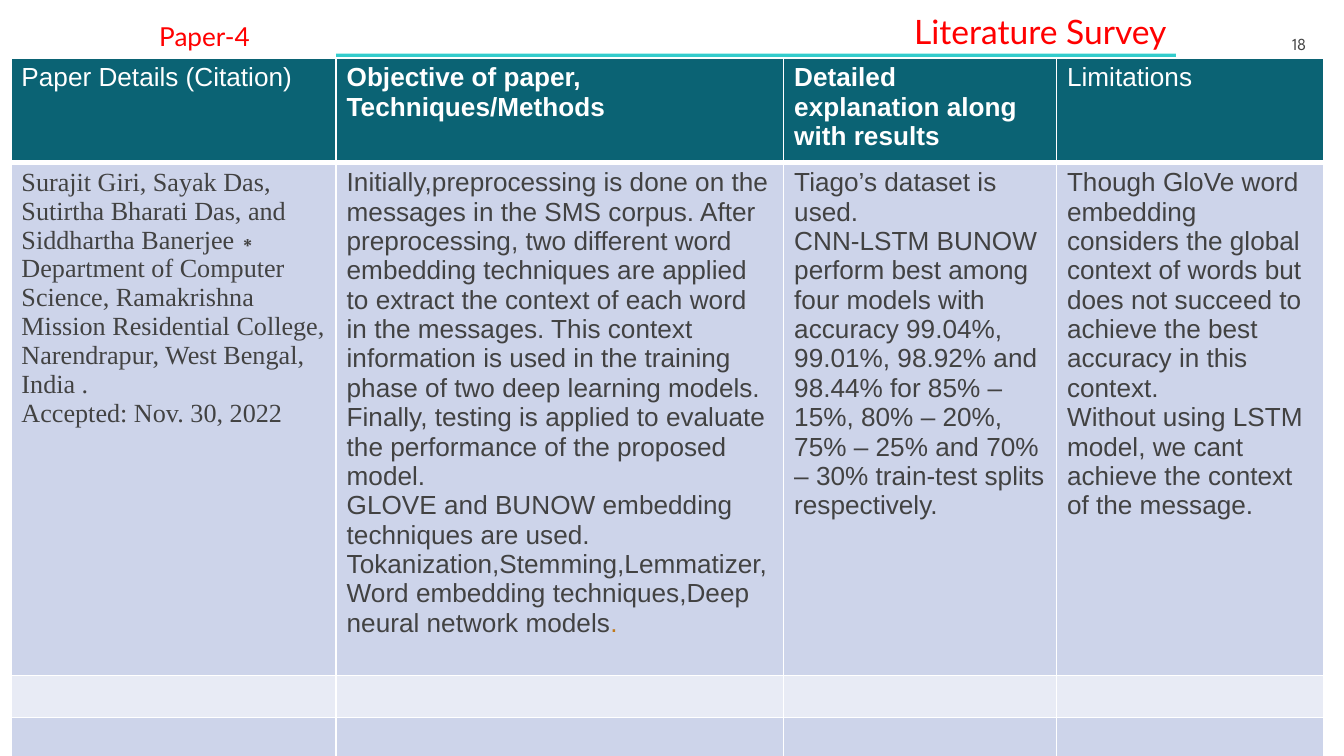
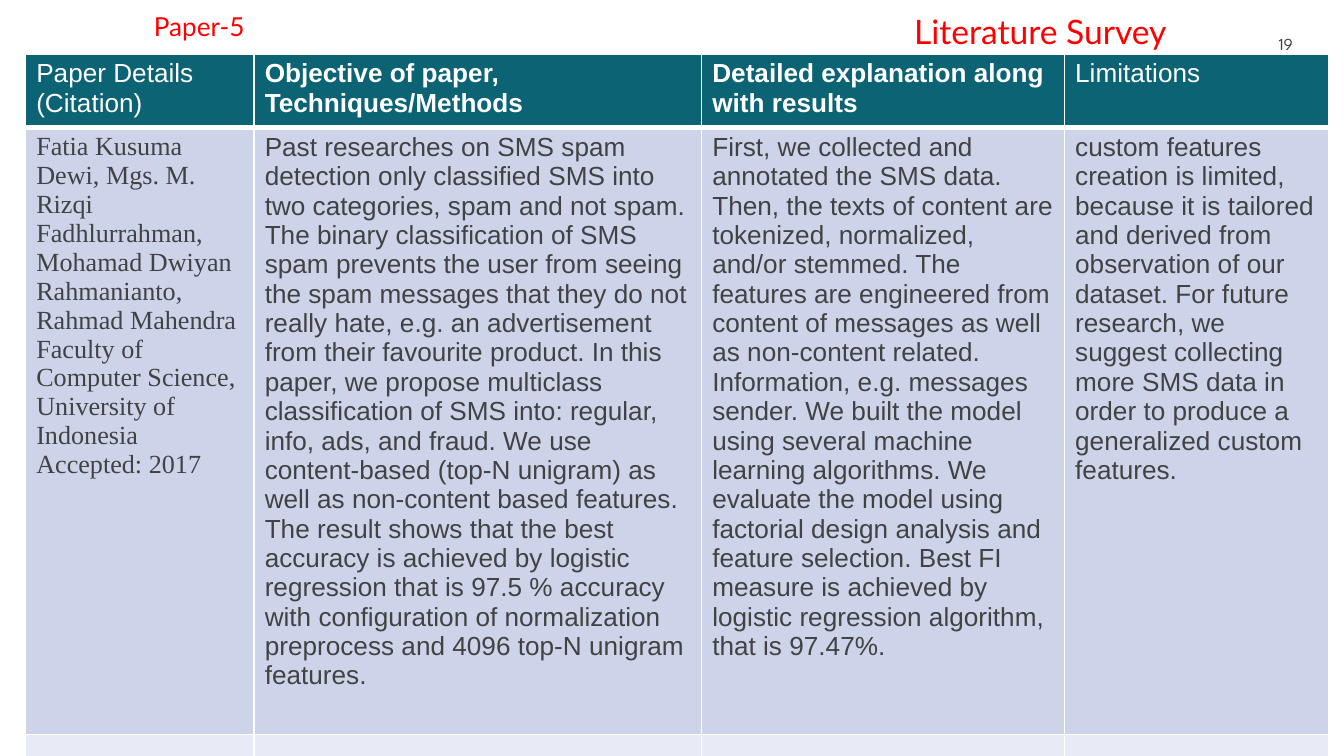
from dataclasses import dataclass
from typing import Any, NamedTuple

from lxml.etree import SubElement
from pptx import Presentation
from pptx.dml.color import RGBColor
from pptx.enum.shapes import MSO_SHAPE
from pptx.enum.text import MSO_ANCHOR, MSO_AUTO_SIZE, PP_ALIGN
from pptx.oxml.ns import qn
from pptx.util import Inches, Pt


@dataclass(frozen=True)
class Theme:
    heading: str = "FF0000"
    band: str = "33CCCC"
    header_fill: str = "0B6374"
    row_fills: tuple[str, str] = ("CDD4EA", "E8EBF5")
    body: str = "424242"
    accent: str = "C0791B"
    white: str = "FFFFFF"
    title_size: int = 18
    table_size: int = 14
    number_size: int = 9
    heading_font: str = "Lato"
    table_font: str = "Arial"
    citation_font: str = "Times New Roman"
    number_font: str = "League Spartan"
    grid_line: int = 1
    header_line: int = 3


THEME = Theme()


class Box(NamedTuple):
    left: float
    top: float
    width: float
    height: float

    def emu(self) -> list[int]:
        return [Inches(value) for value in self]


class Style(NamedTuple):
    font: str
    size: int
    color: str
    bold: bool = False


class Paragraph(NamedTuple):
    text: str
    accent: str = ""


class Heading(NamedTuple):
    text: str
    bold: bool


@dataclass(frozen=True)
class Paper:
    label: str
    label_box: Box
    number: str
    number_box: Box
    table_left: float
    table_top: float
    columns: tuple[float, ...]
    rows: tuple[float, ...]
    details: tuple[tuple[Paragraph, ...], ...]


SLIDE_WIDTH = 10
SLIDE_HEIGHT = SLIDE_WIDTH * 9 / 16
TITLE = "Literature Survey"
TITLE_BOX = Box(3.44, 0.04, 5.31, 0.38)
BAND_BOX = Box(2.5, 0.4, 6.25, 0.03)
HEADINGS = (
    Heading("Paper Details (Citation)", False),
    Heading("Objective of paper, Techniques/Methods", True),
    Heading("Detailed explanation along with results", True),
    Heading("Limitations", False),
)
SIDE_MARGINS = ("margin_left", "margin_right")
VERTICAL_MARGINS = dict.fromkeys(("margin_top", "margin_bottom"), Inches(0.04))
CELL_MARGINS = {**dict.fromkeys(SIDE_MARGINS, Inches(0.08)), **VERTICAL_MARGINS}
LINE_MARGINS = {**dict.fromkeys(SIDE_MARGINS, Inches(0.07)), **VERTICAL_MARGINS}
HANGING = Inches(0.28)
SPARE_ROWS = (0.31,) * 3

PAPERS = (
    Paper(
        label="Paper-4",
        label_box=Box(0.19, 0.11, 1.74, 0.31),
        number="18",
        number_box=Box(9.19, 0.11, 0.6, 0.43),
        table_left=0.08,
        table_top=0.43,
        columns=(2.42, 3.33, 2.03, 1.99),
        rows=(0.77, 3.81, *SPARE_ROWS),
        details=(
            (
                Paragraph(
                    "Surajit Giri, Sayak Das, Sutirtha Bharati Das, and Siddhartha "
                    "Banerjee∗ Department of Computer Science, Ramakrishna Mission "
                    "Residential College, Narendrapur, West Bengal, India ."
                ),
                Paragraph("Accepted: Nov. 30, 2022"),
            ),
            (
                Paragraph(
                    "Initially,preprocessing is done on the messages in the SMS corpus. "
                    "After preprocessing, two different word embedding techniques are "
                    "applied to extract the context of each word in the messages. This "
                    "context information is used in the training phase of two deep "
                    "learning models. Finally, testing is applied to evaluate the "
                    "performance of the proposed model."
                ),
                Paragraph("GLOVE and BUNOW embedding techniques are used."),
                Paragraph(
                    "Tokanization,Stemming,Lemmatizer,Word embedding techniques,"
                    "Deep neural network models",
                    accent=".",
                ),
            ),
            (
                Paragraph("Tiago’s dataset is used."),
                Paragraph(
                    "CNN-LSTM BUNOW perform best among four models with accuracy "
                    "99.04%, 99.01%, 98.92% and 98.44% for 85% – 15%, 80% – 20%, "
                    "75% – 25% and 70% – 30% train-test splits respectively."
                ),
            ),
            (
                Paragraph(
                    "Though GloVe word embedding considers the global context of words "
                    "but does not succeed to achieve the best accuracy in this context."
                ),
                Paragraph(
                    "Without using LSTM model, we cant achieve the context of the message."
                ),
            ),
        ),
    ),
    Paper(
        label="Paper-5",
        label_box=Box(0.2, 0.04, 1.69, 0.31),
        number="19",
        number_box=Box(9.09, 0.11, 0.6, 0.43),
        table_left=0.19,
        table_top=0.4,
        columns=(1.7, 3.33, 2.7, 1.97),
        rows=(0.53, 4.52, *SPARE_ROWS),
        details=(
            (
                Paragraph(
                    "Fatia Kusuma Dewi, Mgs. M. Rizqi Fadhlurrahman, Mohamad Dwiyan "
                    "Rahmanianto, Rahmad Mahendra Faculty of Computer Science, "
                    "University of Indonesia"
                ),
                Paragraph("Accepted: 2017"),
            ),
            (
                Paragraph(
                    "Past researches on SMS spam detection only classified SMS into two "
                    "categories, spam and not spam. The binary classification of SMS spam "
                    "prevents the user from seeing the spam messages that they do not "
                    "really hate, e.g. an advertisement from their favourite product. In "
                    "this paper, we propose multiclass classification of SMS into: "
                    "regular, info, ads, and fraud. We use content-based (top-N unigram) "
                    "as well as non-content based features. The result shows that the "
                    "best accuracy is achieved by logistic regression that is 97.5 % "
                    "accuracy with configuration of normalization preprocess and 4096 "
                    "top-N unigram features."
                ),
            ),
            (
                Paragraph(
                    "First, we collected and annotated the SMS data. Then, the texts of "
                    "content are tokenized, normalized, and/or stemmed. The features are "
                    "engineered from content of messages as well as non-content related. "
                    "Information, e.g. messages sender. We built the model using several "
                    "machine learning algorithms. We evaluate the model using factorial "
                    "design analysis and feature selection. Best FI measure is achieved "
                    "by logistic regression algorithm, that is 97.47%."
                ),
            ),
            (
                Paragraph(
                    "custom features creation is limited, because it is tailored and "
                    "derived from observation of our dataset. For future research, we "
                    "suggest collecting more SMS data in order to produce a generalized "
                    "custom features."
                ),
            ),
        ),
    ),
)


def apply_format(target: Any, values: dict[str, Any]) -> None:
    for attribute, value in values.items():
        setattr(target, attribute, value)


def add_run(paragraph: Any, text: str, style: Style) -> None:
    run = paragraph.add_run()
    run.text = text
    apply_format(
        run.font, {"name": style.font, "size": Pt(style.size), "bold": style.bold}
    )
    run.font.color.rgb = RGBColor.from_string(style.color)


def write_line(
    shape: Any, box: Box, text: str, style: Style, hanging: bool = True
) -> None:
    """Place a right-aligned line; headings hang and grow, others are centred in height."""
    left, top, width, height = box.emu()
    apply_format(shape, {"left": left, "top": top, "width": width, "height": height})
    frame = shape.text_frame
    apply_format(
        frame,
        {
            **LINE_MARGINS,
            "word_wrap": True,
            "auto_size": MSO_AUTO_SIZE.SHAPE_TO_FIT_TEXT if hanging else MSO_AUTO_SIZE.NONE,
            "vertical_anchor": MSO_ANCHOR.TOP if hanging else MSO_ANCHOR.MIDDLE,
        },
    )
    paragraph = frame.paragraphs[0]
    paragraph.alignment = PP_ALIGN.RIGHT
    if hanging:
        properties = paragraph._p.get_or_add_pPr()
        properties.set("marL", str(HANGING))
        properties.set("indent", str(-HANGING))
    add_run(paragraph, text, style)


def add_band(slide: Any) -> None:
    band = slide.shapes.add_shape(MSO_SHAPE.RECTANGLE, *BAND_BOX.emu())
    band.shadow.inherit = False
    band.fill.solid()
    band.fill.fore_color.rgb = RGBColor.from_string(THEME.band)
    band.line.fill.background()


def format_cell(cell: Any, row: int) -> None:
    apply_format(cell, CELL_MARGINS)
    widths = {
        "L": THEME.grid_line,
        "R": THEME.grid_line,
        "T": THEME.header_line if row == 1 else THEME.grid_line,
        "B": THEME.header_line if row == 0 else THEME.grid_line,
    }
    properties = cell._tc.get_or_add_tcPr()
    for side, width in widths.items():
        border = SubElement(properties, qn(f"a:ln{side}"), w=str(Pt(width)))
        fill = SubElement(border, qn("a:solidFill"))
        SubElement(fill, qn("a:srgbClr"), val=THEME.white)
    cell.fill.solid()
    color = THEME.row_fills[(row - 1) % 2] if row else THEME.header_fill
    cell.fill.fore_color.rgb = RGBColor.from_string(color)


def add_survey_table(slide: Any, paper: Paper) -> None:
    box = Box(paper.table_left, paper.table_top, sum(paper.columns), sum(paper.rows))
    table = slide.shapes.add_table(
        len(paper.rows), len(paper.columns), *box.emu()
    ).table
    table.horz_banding = False
    for column, width in zip(table.columns, paper.columns):
        column.width = Inches(width)
    for row, height in enumerate(paper.rows):
        table.rows[row].height = Inches(height)
        for column in range(len(paper.columns)):
            cell = table.cell(row, column)
            format_cell(cell, row)
            if row > 1:
                end = cell.text_frame.paragraphs[0]._p.get_or_add_endParaRPr()
                end.set("sz", str(THEME.table_size * 100))

    for column, heading in enumerate(HEADINGS):
        style = Style(THEME.table_font, THEME.table_size, THEME.white, heading.bold)
        add_run(table.cell(0, column).text_frame.paragraphs[0], heading.text, style)

    for column, paragraphs in enumerate(paper.details):
        font = THEME.table_font if column else THEME.citation_font
        style = Style(font, THEME.table_size, THEME.body)
        frame = table.cell(1, column).text_frame
        for index, content in enumerate(paragraphs):
            paragraph = frame.add_paragraph() if index else frame.paragraphs[0]
            add_run(paragraph, content.text, style)
            if content.accent:
                add_run(paragraph, content.accent, style._replace(color=THEME.accent))


def add_paper_slide(deck: Any, paper: Paper) -> None:
    slide = deck.slides.add_slide(deck.slide_layouts[5])
    title_style = Style(THEME.heading_font, THEME.title_size, THEME.heading)
    label_style = title_style._replace(size=THEME.table_size)
    number_style = Style(THEME.number_font, THEME.number_size, THEME.body)
    add_band(slide)
    write_line(slide.shapes.title, TITLE_BOX, TITLE, title_style)
    add_survey_table(slide, paper)
    label = slide.shapes.add_textbox(*paper.label_box.emu())
    write_line(label, paper.label_box, paper.label, label_style)
    number = slide.shapes.add_textbox(*paper.number_box.emu())
    write_line(number, paper.number_box, paper.number, number_style, hanging=False)


def main() -> None:
    deck = Presentation()
    deck.slide_width = Inches(SLIDE_WIDTH)
    deck.slide_height = Inches(SLIDE_HEIGHT)
    for paper in PAPERS:
        add_paper_slide(deck, paper)
    deck.save("out.pptx")


if __name__ == "__main__":
    main()
